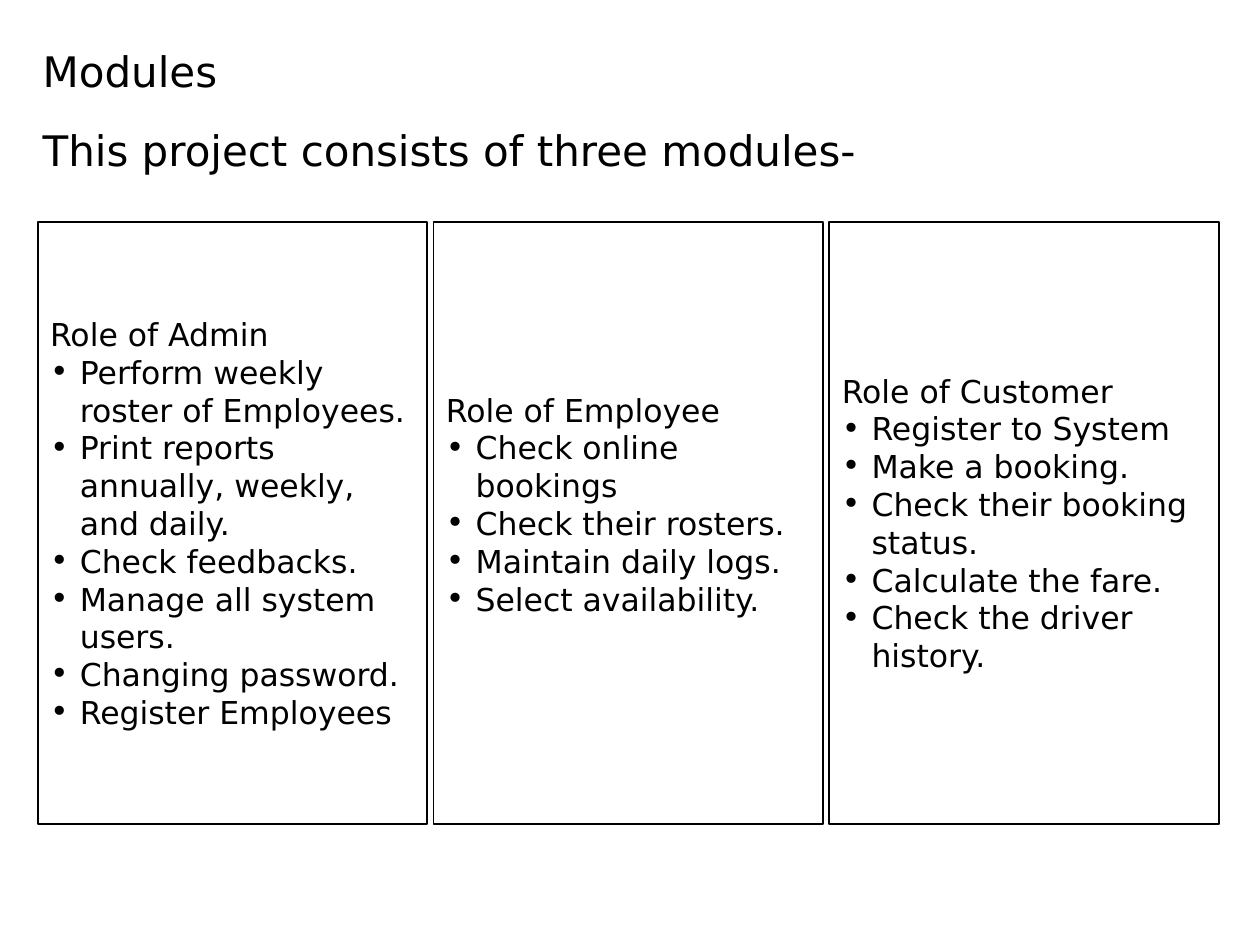
from dataclasses import dataclass

from pptx import Presentation
from pptx import util as u
from pptx.dml.color import RGBColor
from pptx.enum import shapes, text
from pptx.oxml import parse_xml
from pptx.oxml.ns import nsdecls


@dataclass(frozen=True)
class Theme:
    font: str = "DejaVu Sans"
    ink: RGBColor = RGBColor(0, 0, 0)
    paper: RGBColor = RGBColor(255, 255, 255)
    head: u.Pt = u.Pt(24)
    body: u.Pt = u.Pt(18)
    lead: u.Pt = u.Pt(22.5)
    rule: u.Pt = u.Pt(1)


THEME = Theme()

TITLE = ["Modules", "This project consists of three modules-"]

# Role, its tasks, and the number of lines left free below them
ROLES = [
    ("Role of Admin",
     ["Perform weekly roster of Employees.",
      "Print reports annually, weekly, and daily.",
      "Check feedbacks.",
      "Manage all system users.",
      "Changing password.",
      "Register Employees"], 0),
    ("Role of Employee",
     ["Check online bookings",
      "Check their rosters.",
      "Maintain daily logs.",
      "Select availability."], 1),
    ("Role of Customer",
     ["Register to System",
      "Make a booking.",
      "Check their booking status.",
      "Calculate the fare.",
      "Check the driver history."], 0),
]

# Card grid, in cm
LEFT, TOP, WIDE, HIGH, GAP = 0.76, 4.47, 7.85, 12.14, 0.13
PAD_X, PAD_Y, LINE, INDENT = 0.25, 0.13, 0.76, 0.6


def style(para, size):
    para.alignment = text.PP_ALIGN.LEFT
    for run in para.runs:
        run.font.name = THEME.font
        run.font.size = size
        run.font.color.rgb = THEME.ink


def bullet(para):
    props = para._p.get_or_add_pPr()
    props.set("marL", str(u.Cm(INDENT)))
    props.set("indent", str(-u.Cm(INDENT)))
    props.append(parse_xml(f'<a:buFont {nsdecls("a")} typeface="{THEME.font}"/>'))
    props.append(parse_xml(f'<a:buChar {nsdecls("a")} char="•"/>'))


def inset(frame, side, top, bottom):
    frame.margin_left = frame.margin_right = u.Cm(side)
    frame.margin_top, frame.margin_bottom = u.Cm(top), u.Cm(bottom)
    frame.word_wrap = True


def add_title(slide):
    box = slide.shapes.title
    box.left, box.top = u.Cm(0.86), u.Cm(1.14)
    box.width, box.height = u.Cm(23.7), u.Cm(16.54)
    frame = box.text_frame
    frame.text = "\n".join(TITLE)
    frame.auto_size = text.MSO_AUTO_SIZE.NONE
    frame.vertical_anchor = text.MSO_ANCHOR.TOP
    inset(frame, 0, 0, 0)
    for para in frame.paragraphs:
        style(para, THEME.head)
        para.line_spacing = THEME.lead
        para.space_before = u.Pt(0)
    # One free line between the two title lines
    frame.paragraphs[1].space_before = THEME.lead


def add_card(slide, col, role, tasks, free):
    card = slide.shapes.add_shape(
        shapes.MSO_SHAPE.RECTANGLE, u.Cm(LEFT + col * (WIDE + GAP)),
        u.Cm(TOP), u.Cm(WIDE), u.Cm(HIGH))
    card.shadow.inherit = False
    card.fill.solid()
    card.fill.fore_color.rgb = THEME.paper
    card.line.color.rgb = THEME.ink
    card.line.width = THEME.rule
    frame = card.text_frame
    frame.text = "\n".join([role, *tasks])
    frame.vertical_anchor = text.MSO_ANCHOR.MIDDLE
    inset(frame, PAD_X, PAD_Y, PAD_Y + free * LINE)
    for para in frame.paragraphs:
        style(para, THEME.body)
    for para in frame.paragraphs[1:]:
        bullet(para)


def main():
    deck = Presentation()
    deck.slide_width, deck.slide_height = u.Cm(25.4), u.Cm(19.05)
    slide = deck.slides.add_slide(deck.slide_layouts[5])

    # Heading
    add_title(slide)

    # One card for each role
    for col, (role, tasks, free) in enumerate(ROLES):
        add_card(slide, col, role, tasks, free)

    deck.save("out.pptx")


if __name__ == "__main__":
    main()
